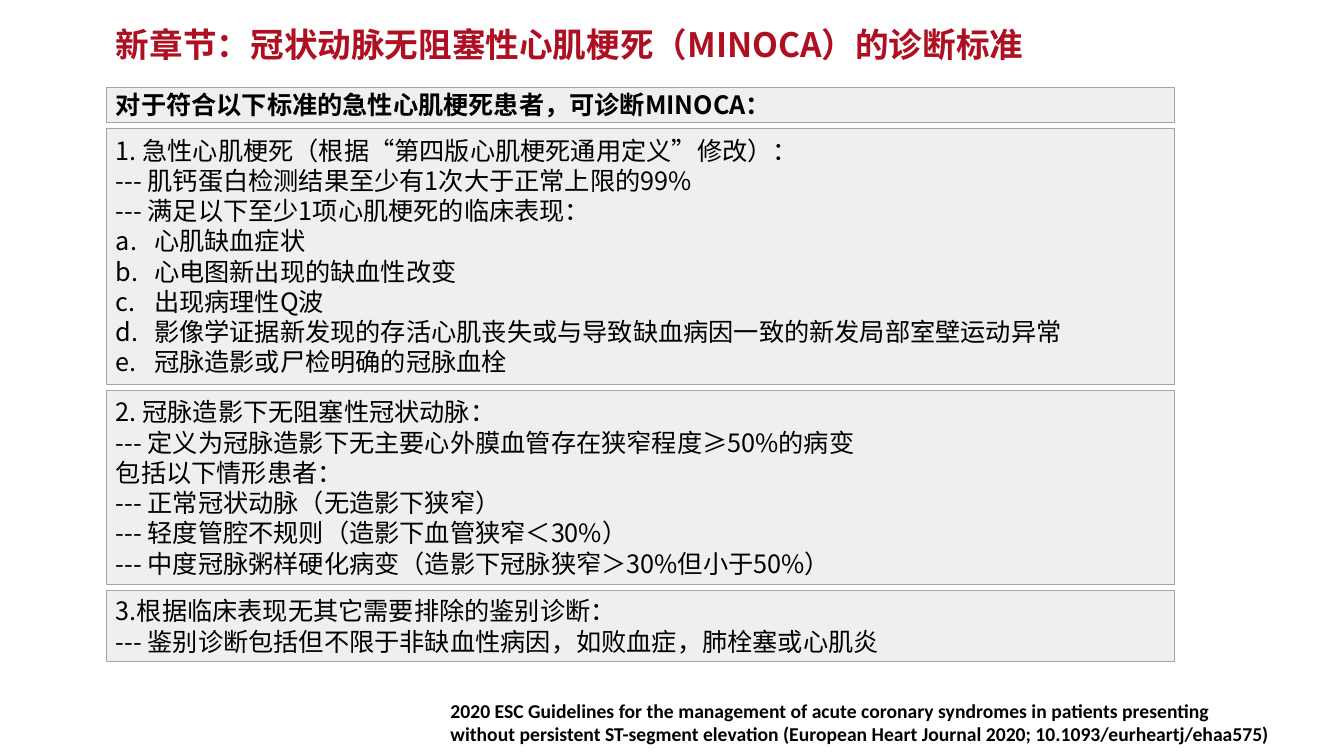
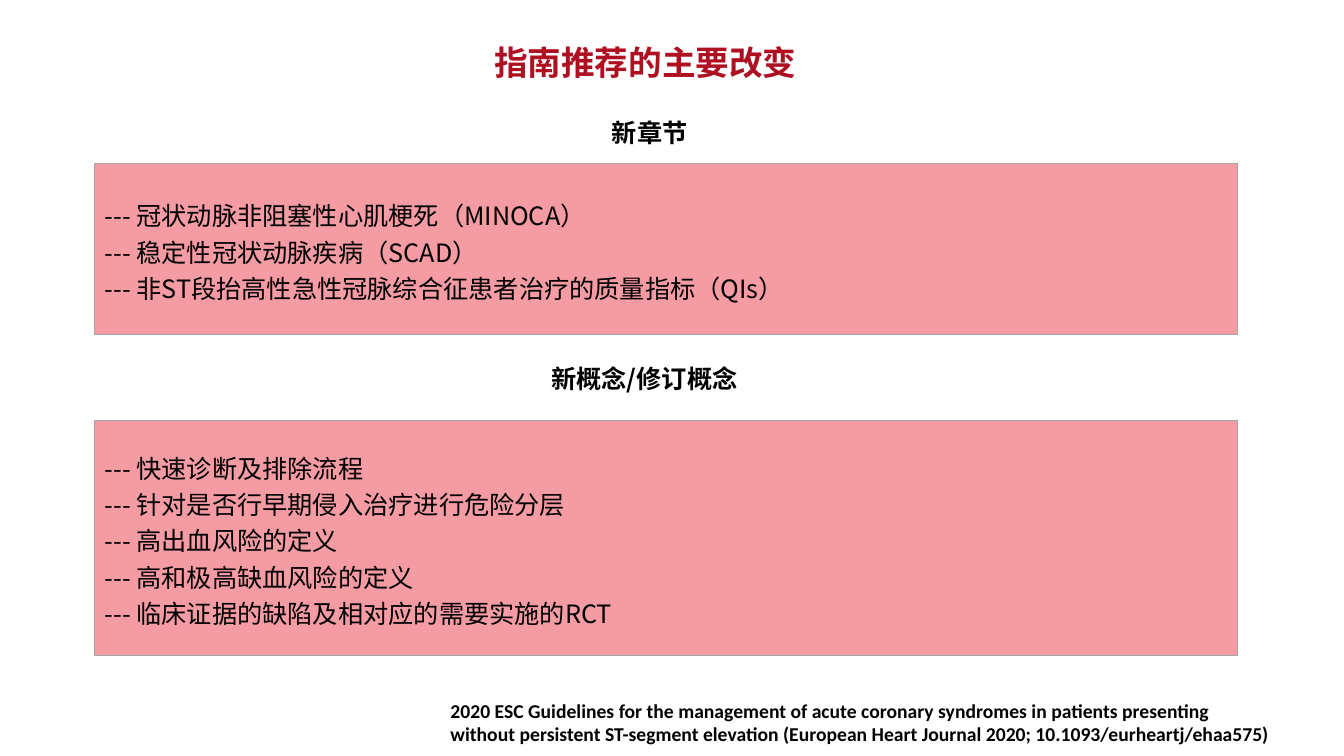
from dataclasses import dataclass

from lxml import etree
from pptx import Presentation
from pptx import util as u
from pptx.dml.color import RGBColor
from pptx.enum import shapes, text
from pptx.oxml.ns import qn

WIDE, HIGH = 13.33, 7.5
RED, BLACK, WHITE = "AE1022", "000000", "FFFFFF"
GREY, PINK, EDGE = "EFEFEF", "F59BA3", "A5A5A5"
HAN, LATIN = "Noto Sans CJK SC", "Calibri"
INDENT = u.Inches(0.38)
SOURCE = ("2020 ESC Guidelines for the management of acute coronary syndromes "
          "in patients presenting without persistent ST-segment elevation "
          "(European Heart Journal 2020; 10.1093/eurheartj/ehaa575)")


@dataclass(frozen=True)
class Area:
    """A place given in percent of the slide's width and height."""
    left: float
    top: float
    width: float
    height: float

    def put(self, shape) -> None:
        shape.left, shape.width = (u.Inches(WIDE * v / 100) for v in (self.left, self.width))
        shape.top, shape.height = (u.Inches(HIGH * v / 100) for v in (self.top, self.height))


@dataclass(frozen=True)
class Letter:
    """A line numbered a., b., c."""
    words: str


@dataclass(frozen=True)
class Panel:
    height: float
    lines: tuple
    bold: bool = False


@dataclass(frozen=True)
class Group:
    head: str
    spot: Area
    area: Area
    lines: tuple


FOOT = Area(32.78, 92.13, 62.79, 6.8)
LEFT, TOP, WIDTH, GAP = 7.88, 11.6, 79.5, 0.8

PANELS = (
    Panel(4.53, ("对于符合以下标准的急性心肌梗死患者，可诊断MINOCA：",), bold=True),
    Panel(33.87, (
        "1. 急性心肌梗死（根据“第四版心肌梗死通用定义”修改）：",
        "--- 肌钙蛋白检测结果至少有1次大于正常上限的99%",
        "--- 满足以下至少1项心肌梗死的临床表现：",
        Letter("心肌缺血症状"),
        Letter("心电图新出现的缺血性改变"),
        Letter("出现病理性Q波"),
        Letter("影像学证据新发现的存活心肌丧失或与导致缺血病因一致的新发局部室壁运动异常"),
        Letter("冠脉造影或尸检明确的冠脉血栓"),
    )),
    Panel(25.73, (
        "2. 冠脉造影下无阻塞性冠状动脉：",
        "--- 定义为冠脉造影下无主要心外膜血管存在狭窄程度≥50%的病变",
        "包括以下情形患者：",
        "--- 正常冠状动脉（无造影下狭窄）",
        "--- 轻度管腔不规则（造影下血管狭窄＜30%）",
        "--- 中度冠脉粥样硬化病变（造影下冠脉狭窄＞30%但小于50%）",
    )),
    Panel(9.33, (
        "3.根据临床表现无其它需要排除的鉴别诊断：",
        "--- 鉴别诊断包括但不限于非缺血性病因，如败血症，肺栓塞或心肌炎",
    )),
)

GROUPS = (
    Group("新章节", Area(44.79, 14.53, 9.53, 5.87), Area(7.05, 21.6, 85, 22.67), (
        "--- 冠状动脉非阻塞性心肌梗死（MINOCA）",
        "--- 稳定性冠状动脉疾病（SCAD）",
        "--- 非ST段抬高性急性冠脉综合征患者治疗的质量指标（QIs）",
    )),
    Group("新概念/修订概念", Area(40.29, 47.33, 18.23, 5.33), Area(7.05, 55.6, 85, 31.07), (
        "--- 快速诊断及排除流程",
        "--- 针对是否行早期侵入治疗进行危险分层",
        "--- 高出血风险的定义",
        "--- 高和极高缺血风险的定义",
        "--- 临床证据的缺陷及相对应的需要实施的RCT",
    )),
)


def tint(code: str) -> RGBColor:
    return RGBColor.from_string(code)


def number(para) -> None:
    props = para._p.get_or_add_pPr()
    props.set("marL", str(INDENT))
    props.set("indent", str(-INDENT))
    etree.SubElement(props, qn("a:buFont"), typeface="+mj-lt")
    etree.SubElement(props, qn("a:buAutoNum"), type="alphaLcPeriod")


def write(frame, lines: tuple, *, size: float = 18, font: str = HAN, color: str = BLACK,
          bold: bool = False, space: float = 1.0,
          anchor=text.MSO_ANCHOR.MIDDLE) -> None:
    frame.word_wrap = True
    frame.auto_size = text.MSO_AUTO_SIZE.NONE
    frame.vertical_anchor = anchor
    for i, line in enumerate(lines):
        para = frame.add_paragraph() if i else frame.paragraphs[0]
        para.alignment = text.PP_ALIGN.LEFT
        para.line_spacing = space
        if isinstance(line, Letter):
            number(para)
            line = line.words
        run = para.add_run()
        run.text = line
        run.font.name, run.font.size, run.font.bold = font, u.Pt(size), bold
        run.font.color.rgb = tint(color)
        etree.SubElement(run._r.get_or_add_rPr(), qn("a:ea"), typeface=font)


def box(slide, area: Area, lines: tuple, *, fill: str = WHITE, edge: str = "", **form) -> None:
    shape = slide.shapes.add_shape(shapes.MSO_SHAPE.RECTANGLE, 0, 0, 0, 0)
    area.put(shape)
    shape.shadow.inherit = False
    shape.fill.solid()
    shape.fill.fore_color.rgb = tint(fill)
    if edge:
        shape.line.color.rgb = tint(edge)
        shape.line.width = u.Pt(0.5)
    else:
        shape.line.fill.background()
    write(shape.text_frame, lines, **form)


def start(deck, title: str, area: Area):
    """Add a slide with its title and source line."""
    slide = deck.slides.add_slide(deck.slide_layouts.get_by_name("Title Only"))
    area.put(slide.shapes.title)
    write(slide.shapes.title.text_frame, (title,), size=24, color=RED, bold=True,
          anchor=text.MSO_ANCHOR.TOP)
    box(slide, FOOT, (SOURCE,), size=14, font=LATIN, bold=True)
    return slide


def criteria(deck) -> None:
    slide = start(deck, "新章节：冠状动脉无阻塞性心肌梗死（MINOCA）的诊断标准",
                  Area(LEFT, 2.53, 74.34, 6.67))
    top = TOP
    for panel in PANELS:
        box(slide, Area(LEFT, top, WIDTH, panel.height), panel.lines,
            fill=GREY, edge=EDGE, bold=panel.bold)
        top += panel.height + GAP


def changes(deck) -> None:
    slide = start(deck, "指南推荐的主要改变", Area(36.01, 4.93, 25, 6.67))
    for group in GROUPS:
        box(slide, group.spot, (group.head,), bold=True)
        box(slide, group.area, group.lines, fill=PINK, edge=EDGE, space=1.2)


def main() -> None:
    deck = Presentation()
    deck.slide_width, deck.slide_height = u.Inches(WIDE), u.Inches(HIGH)
    criteria(deck)
    changes(deck)
    deck.save("out.pptx")


if __name__ == "__main__":
    main()
